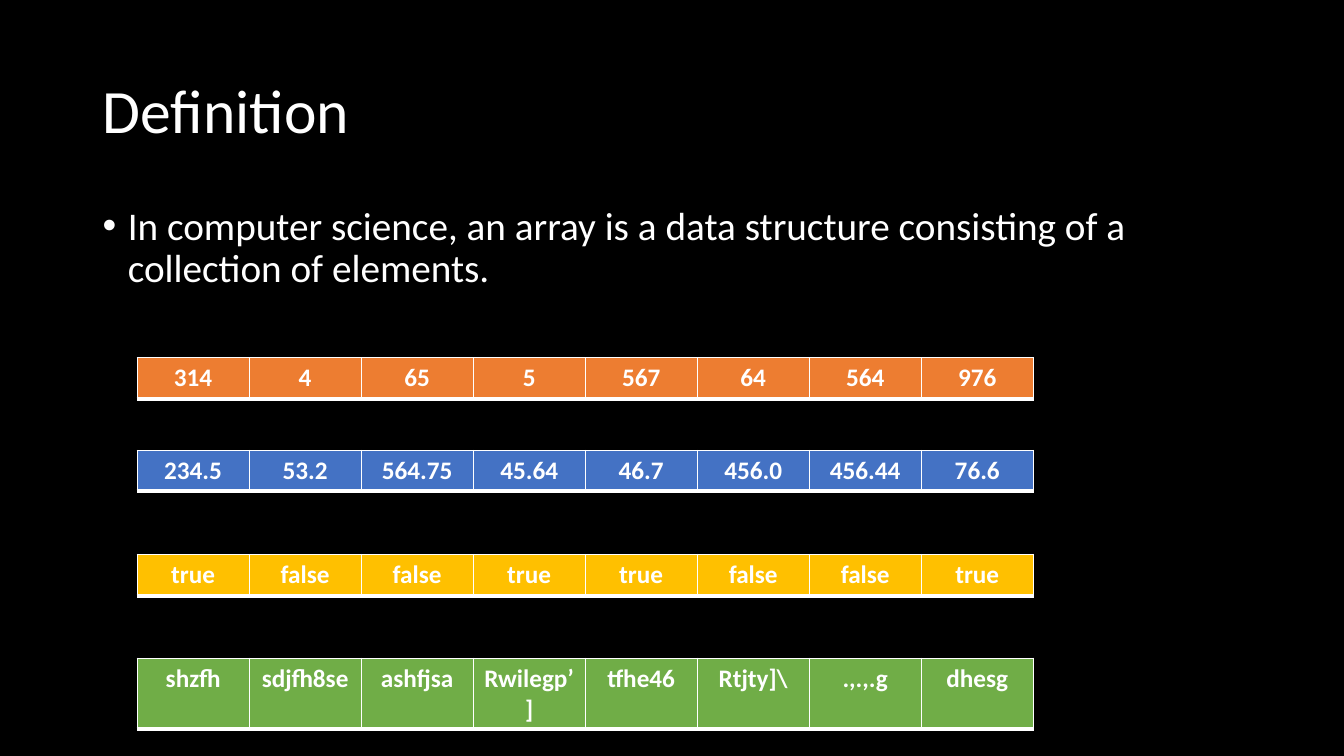
from lxml import etree
from pptx import Presentation
from pptx.dml.color import RGBColor
from pptx.enum.text import MSO_ANCHOR, PP_ALIGN
from pptx.oxml.ns import qn
from pptx.util import Inches, Pt

MIDDLE, TOP = MSO_ANCHOR.MIDDLE, MSO_ANCHOR.TOP
CENTER, LEFT = PP_ALIGN.CENTER, PP_ALIGN.LEFT
FONT = "Calibri"
COLORS = {
    "black": "000000",
    "white": "FFFFFF",
    "orange": "ED7D31",
    "blue": "4472C4",
    "gold": "FFC000",
    "green": "70AD47",
}
EDGES = {"a:lnL": 1, "a:lnR": 1, "a:lnT": 1, "a:lnB": 3}
ARRAYS = [
    (3.55, 0.41, "orange", ["314", "4", "65", "5", "567", "64", "564", "976"]),
    (4.47, 0.4, "blue",
     ["234.5", "53.2", "564.75", "45.64", "46.7", "456.0", "456.44", "76.6"]),
    (5.5, 0.41, "gold",
     ["true", "false", "false", "true", "true", "false", "false", "true"]),
    (6.53, 0.41, "green",
     ["shzfh", "sdjfh8se", "ashfjsa", "Rwilegp’]", "tfhe46", "Rtjty]\\",
      ".,.,.g", "dhesg"]),
]


def color(name):
    return RGBColor.from_string(COLORS[name])


def write(frame, text, size=18, bold=False, align=LEFT, line=None, before=0,
          bullet=False):
    para = frame.paragraphs[0]
    para.alignment = align
    para.space_before = Pt(before)
    if line:
        para.line_spacing = line
    if bullet:
        props = para._p.get_or_add_pPr()
        props.set("marL", str(Inches(0.25)))
        props.set("indent", str(Inches(-0.25)))
        etree.SubElement(props, qn("a:buFont")).set("typeface", "Arial")
        etree.SubElement(props, qn("a:buChar")).set("char", "•")
    run = para.add_run()
    run.text = text
    run.font.name = FONT
    run.font.size = Pt(size)
    run.font.bold = bold
    run.font.color.rgb = color("white")


class Deck:
    """Holds the deck style and the current slide."""

    def __init__(self):
        self.deck = Presentation()
        self.deck.slide_width = Inches(13.33)
        self.deck.slide_height = Inches(7.5)
        self.slide = self.deck.slides.add_slide(self.deck.slide_layouts[6])
        fill = self.slide.background.fill
        fill.solid()
        fill.fore_color.rgb = color("black")

    def text(self, text, top, height, anchor=TOP, **style):
        box = self.slide.shapes.add_textbox(
            Inches(0.92), Inches(top), Inches(11.5), Inches(height))
        frame = box.text_frame
        frame.word_wrap = True
        frame.vertical_anchor = anchor
        write(frame, text, line=0.9, **style)

    def edge(self, cell):
        props = cell._tc.get_or_add_tcPr()
        for tag, width in EDGES.items():
            line = etree.SubElement(props, qn(tag), w=str(Pt(width)))
            fill = etree.SubElement(line, qn("a:solidFill"))
            etree.SubElement(fill, qn("a:srgbClr"), val=COLORS["white"])

    def array(self, top, height, tint, values):
        table = self.slide.shapes.add_table(
            1, len(values), Inches(1.36), Inches(top),
            Inches(8.89), Inches(height)).table
        for cell, value in zip(table.iter_cells(), values):
            self.edge(cell)
            cell.fill.solid()
            cell.fill.fore_color.rgb = color(tint)
            write(cell.text_frame, value, bold=True, align=CENTER)


def main():
    deck = Deck()
    deck.text("Definition", 0.4, 1.45, MIDDLE, size=44)
    deck.text("In computer science, an array is a data structure consisting "
              "of a collection of elements.", 2, 1.13,
              size=28, before=10, bullet=True)
    for row in ARRAYS:
        deck.array(*row)
    deck.deck.save("out.pptx")


if __name__ == "__main__":
    main()
